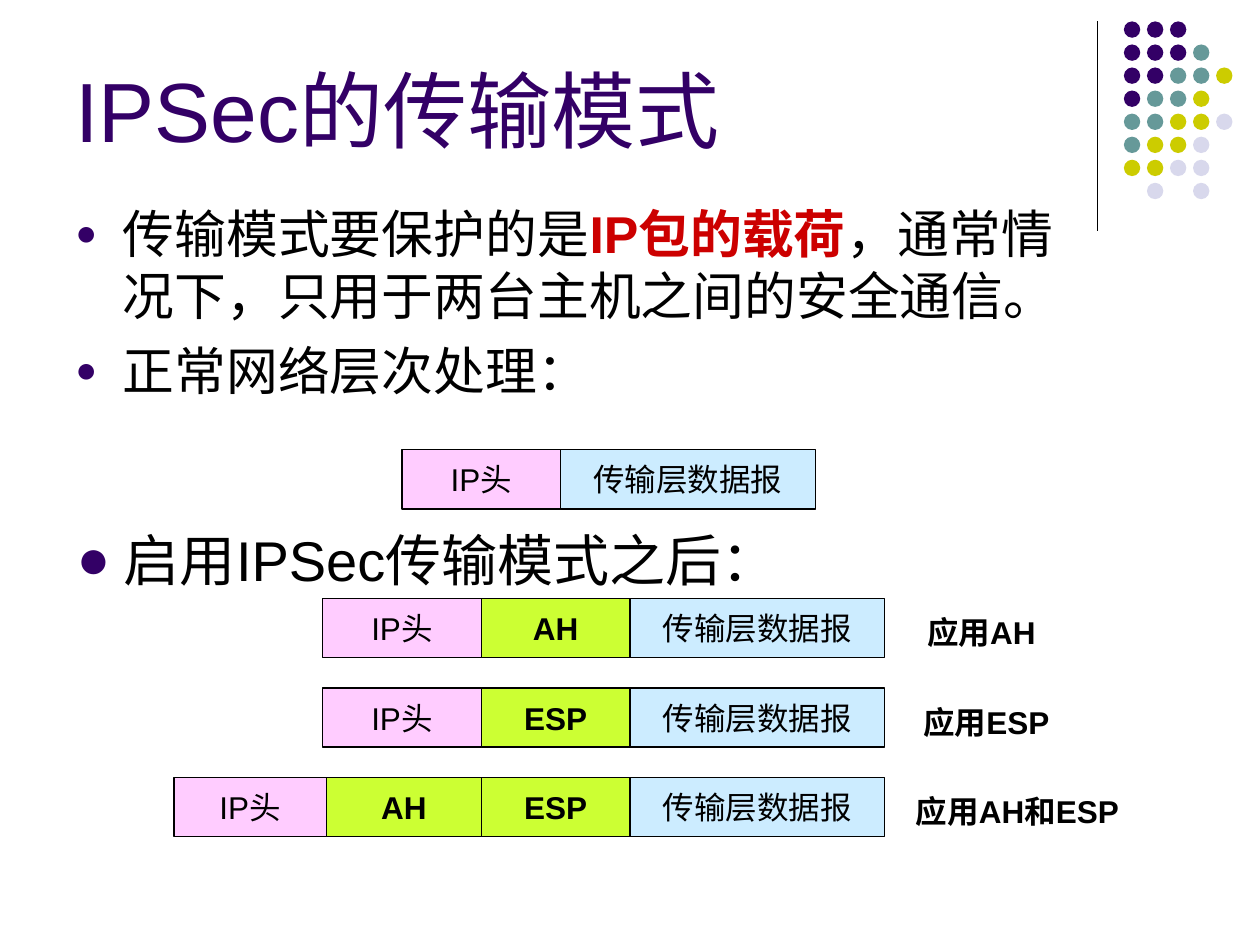
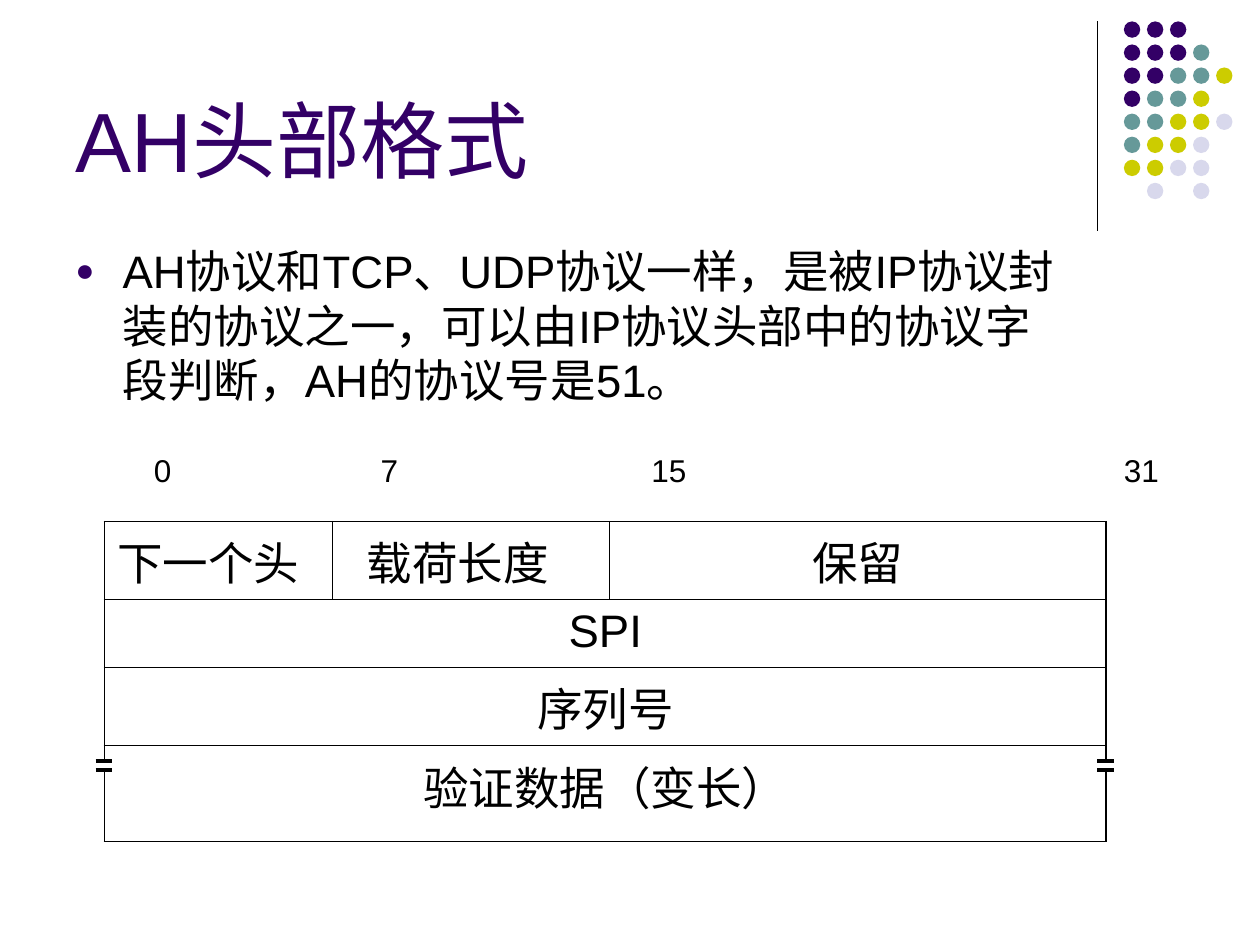
from dataclasses import dataclass
from itertools import pairwise
from typing import NamedTuple

from lxml.etree import SubElement
from pptx import Presentation
from pptx.dml.color import RGBColor as Rgb
from pptx.enum.lang import MSO_LANGUAGE_ID as Lang
from pptx.enum.shapes import MSO_CONNECTOR as Connector, MSO_SHAPE as Preset
from pptx.enum.text import MSO_ANCHOR as Anchor, PP_ALIGN as Align
from pptx.oxml import parse_xml
from pptx.oxml.ns import nsdecls, qn
from pptx.util import Inches, Pt


@dataclass(frozen=True)
class Theme:
    font: str = "Arial"
    title: str = "330066"
    ink: str = "000000"
    paper: str = "FFFFFF"
    key: str = "CC0000"
    teal: str = "669999"
    olive: str = "CCCC00"
    mist: str = "D8D8EC"
    ip_head: str = "FFCCFF"
    security: str = "CCFF33"
    payload: str = "CCECFF"
    title_size: float = 48
    mode_size: float = 32
    point_size: float = 29.6
    field_size: float = 26
    label_size: float = 18
    hairline: float = 0.75
    inner_border: float = 0.45
    outer_border: float = 1.08
    break_line: float = 2


THEME = Theme()

# Grid: 100 columns by 75 rows over the whole slide
COLUMNS, ROWS = 100, 75
SLIDE_WIDTH, SLIDE_HEIGHT = Inches(10), Inches(7.5)


def col(count: float) -> int:
    return round(SLIDE_WIDTH * count / COLUMNS)


def row(count: float) -> int:
    return round(SLIDE_HEIGHT * count / ROWS)


class Area(NamedTuple):
    left: float
    top: float
    width: float
    height: float

    def emu(self) -> tuple[int, int, int, int]:
        return col(self.left), row(self.top), col(self.width), row(self.height)


class Words(NamedTuple):
    text: str
    size: float
    color: str = THEME.ink
    bold: bool = False


class Bullet(NamedTuple):
    share: int
    before: float = 0


class Field(NamedTuple):
    text: str
    fill: str
    bold: bool = False


class Packet(NamedTuple):
    top: float
    edges: tuple[float, ...]
    fields: tuple[Field, ...]


class Caption(NamedTuple):
    text: str
    left: float
    width: float


# Text
def add_words(paragraph, *parts: Words) -> None:
    for part in parts:
        run = paragraph.add_run()
        run.text = part.text
        run.font.name = THEME.font
        run.font.size = Pt(part.size)
        run.font.bold = part.bold
        run.font.color.rgb = Rgb.from_string(part.color)
        run.font.language_id = Lang.SIMPLIFIED_CHINESE


def add_bullet(paragraph, bullet: Bullet) -> None:
    props = paragraph._p.get_or_add_pPr()
    props.set("marL", str(col(3.75)))
    props.set("indent", str(-col(3.75)))
    SubElement(SubElement(props, qn("a:buClr")), qn("a:srgbClr")).set("val", THEME.title)
    SubElement(props, qn("a:buSzPct")).set("val", str(bullet.share * 1000))
    SubElement(props, qn("a:buFont")).set("typeface", THEME.font)
    SubElement(props, qn("a:buChar")).set("char", "●")


def add_text(slide, area: Area, paragraphs: list[list[Words]], bullet: Bullet | None = None,
             anchor=Anchor.TOP, align=Align.LEFT, wrap: bool = True) -> None:
    frame = slide.shapes.add_textbox(*area.emu()).text_frame
    frame.word_wrap = wrap
    frame.vertical_anchor = anchor
    for index, parts in enumerate(paragraphs):
        paragraph = frame.add_paragraph() if index else frame.paragraphs[0]
        paragraph.alignment = align
        if bullet:
            add_bullet(paragraph, bullet)
            if index:
                paragraph.space_before = Pt(bullet.before)
        add_words(paragraph, *parts)


# Shapes and lines
def add_block(slide, preset, area: Area, fill: str, outlined: bool = False):
    block = slide.shapes.add_shape(preset, *area.emu())
    block.shadow.inherit = False
    block.fill.solid()
    block.fill.fore_color.rgb = Rgb.from_string(fill)
    if outlined:
        block.line.color.rgb = Rgb.from_string(THEME.ink)
        block.line.width = Pt(THEME.hairline)
    else:
        block.line.fill.background()
    return block


def add_line(slide, start: tuple[float, float], end: tuple[float, float], width: float) -> None:
    line = slide.shapes.add_connector(Connector.STRAIGHT, col(start[0]), row(start[1]),
                                      col(end[0]), row(end[1]))
    line.line.color.rgb = Rgb.from_string(THEME.ink)
    line.line.width = Pt(width)
    SubElement(line._element.spPr, qn("a:effectLst"))


# Corner decoration and title shared by the slides
DIVIDER = 87.1
DOT_COLORS = {"P": THEME.title, "T": THEME.teal, "O": THEME.olive, "M": THEME.mist}
DOT_ROWS = ("PPP", "PPPT", "PPTTO", "PTTO", "TTOOM", "TOOM", "OOMM", " M M")
DOT_LEFT, DOT_TOP, DOT_PITCH, DOT_SIZE = 89.2, 1.7, 1.83, 1.3
TEXT_LEFT = 5


def start_slide(deck, title: str, title_area: Area):
    slide = deck.slides.add_slide(deck.slide_layouts[6])
    add_line(slide, (DIVIDER, 1.7), (DIVIDER, 18.3), THEME.hairline)
    for down, dots in enumerate(DOT_ROWS):
        for across, dot in enumerate(dots):
            if dot in DOT_COLORS:
                area = Area(DOT_LEFT + across * DOT_PITCH, DOT_TOP + down * DOT_PITCH,
                            DOT_SIZE, DOT_SIZE)
                add_block(slide, Preset.OVAL, area, DOT_COLORS[dot])
    add_text(slide, title_area, [[Words(title, THEME.title_size, THEME.title)]],
             anchor=Anchor.BOTTOM)
    return slide


# Transport mode: packets before and after
IP = Field("IP头", THEME.ip_head)
AH = Field("AH", THEME.security, True)
ESP = Field("ESP", THEME.security, True)
DATA = Field("传输层数据报", THEME.payload)
PACKET_HEIGHT = 4.7
MODE_TOP, MODE_PITCH = 47.5, 7.1
SHORT_EDGES = (25.6, 38.2, 50, 70.2)
PLAIN_PACKET = Packet(35.7, (31.9, 44.5, 64.7), (IP, DATA))
MODES = (
    (Caption("应用AH", 72.6, 11.2), SHORT_EDGES, (IP, AH, DATA)),
    (Caption("应用ESP", 72.3, 12.6), SHORT_EDGES, (IP, ESP, DATA)),
    (Caption("应用AH和ESP", 71.7, 19.9), (13.8, 25.9, *SHORT_EDGES[1:]), (IP, AH, ESP, DATA)),
)


def add_packet(slide, packet: Packet) -> None:
    for field, (left, right) in zip(packet.fields, pairwise(packet.edges)):
        area = Area(left, packet.top, right - left, PACKET_HEIGHT)
        frame = add_block(slide, Preset.RECTANGLE, area, field.fill, outlined=True).text_frame
        frame.word_wrap = False
        frame.vertical_anchor = Anchor.MIDDLE
        frame.paragraphs[0].alignment = Align.CENTER
        add_words(frame.paragraphs[0], Words(field.text, THEME.label_size, bold=field.bold))


def build_transport_mode(deck) -> None:
    slide = start_slide(deck, "IPSec的传输模式", Area(TEXT_LEFT, 4.4, 82.5, 8.7))
    size = THEME.point_size
    # The points end left of the divider
    add_text(slide, Area(TEXT_LEFT, 15.5, DIVIDER - TEXT_LEFT, 17.9), [
        [Words("传输模式要保护的是", size), Words("IP包的载荷", size, THEME.key, True),
         Words("，通常情况下，只用于两台主机之间的安全通信。", size)],
        [Words("正常网络层次处理：", size)],
    ], Bullet(70, 7.4))
    add_packet(slide, PLAIN_PACKET)
    add_text(slide, Area(5.1, 41.2, 90, 6.3),
             [[Words("启用IPSec传输模式之后：", THEME.mode_size)]], Bullet(100))
    for index, (caption, edges, fields) in enumerate(MODES):
        top = MODE_TOP + index * MODE_PITCH
        add_packet(slide, Packet(top, edges, fields))
        add_text(slide, Area(caption.left, top + 0.7, caption.width, 4),
                 [[Words(caption.text, THEME.label_size, bold=True)]], wrap=False)


# AH header: bit ruler, field table and break marks
BIT_CENTERS = {"0": 12.9, "7": 30.9, "15": 53.1, "31": 90.6}
FIELD_COLUMNS = (18.1, 22, 39.4)
FIELD_ROWS = (6.2, 5.4, 6.2, 7.6)
TABLE_LEFT, TABLE_TOP = 8.3, 41.4
FIRST_FIELDS = (("下一个头", Align.LEFT, 1), ("载荷长度", Align.LEFT, 2.7),
                ("保留", Align.CENTER, 1))
WIDE_FIELDS = ("SPI", "序列号", "验证数据（变长）")


def set_borders(cell, **widths: float) -> None:
    props = cell._tc.get_or_add_tcPr()
    for index, (side, width) in enumerate(widths.items()):
        props.insert(index, parse_xml(
            f'<a:ln{side} {nsdecls("a")} w="{Pt(width)}"><a:solidFill>'
            f'<a:srgbClr val="{THEME.ink}"/></a:solidFill></a:ln{side}>'))


def fill_field(cell, text: str, align=Align.CENTER, margin: float = 1) -> None:
    cell.margin_left = col(margin)
    paragraph = cell.text_frame.paragraphs[0]
    paragraph.alignment = align
    add_words(paragraph, Words(text, THEME.field_size))


def add_header_table(slide) -> None:
    area = Area(TABLE_LEFT, TABLE_TOP, sum(FIELD_COLUMNS), sum(FIELD_ROWS))
    last_row, last_column = len(FIELD_ROWS) - 1, len(FIELD_COLUMNS) - 1
    table = slide.shapes.add_table(last_row + 1, last_column + 1, *area.emu()).table
    table.first_row = table.horz_banding = False
    for column, width in zip(table.columns, FIELD_COLUMNS):
        column.width = col(width)
    inner, outer = THEME.inner_border, THEME.outer_border
    for down, height in enumerate(FIELD_ROWS):
        table.rows[down].height = row(height)
        for across in range(last_column + 1):
            cell = table.cell(down, across)
            cell.fill.background()
            whole = down > 0
            set_borders(cell, L=outer if whole or across == 0 else inner,
                        R=outer if whole or across == last_column else inner,
                        T=inner if down else outer,
                        B=outer if down == last_row else inner)
    for across, (text, align, margin) in enumerate(FIRST_FIELDS):
        fill_field(table.cell(0, across), text, align, margin)
    for down, text in enumerate(WIDE_FIELDS, start=1):
        table.cell(down, 0).merge(table.cell(down, last_column))
        fill_field(table.cell(down, 0), text)


def add_break_mark(slide, left: float) -> None:
    add_block(slide, Preset.RECTANGLE, Area(left, 60.3, 1.4, 0.7), THEME.paper)
    for height in (60.4, 61.1):
        add_line(slide, (left + 0.1, height), (left + 1.4, height), THEME.break_line)


def build_ah_header(deck) -> None:
    slide = start_slide(deck, "AH头部格式", Area(TEXT_LEFT, 1.3, 82.5, 14.2))
    add_text(slide, Area(TEXT_LEFT, 18.8, 79.7, 48.2), [[Words(
        "AH协议和TCP、UDP协议一样，是被IP协议封装的协议之一，可以由IP协议头部中的协议字段判断，"
        "AH的协议号是51。", THEME.field_size)]], Bullet(70))
    add_header_table(slide)
    for bit, center in BIT_CENTERS.items():
        add_text(slide, Area(center - 3, 35.3, 6, 4), [[Words(bit, THEME.label_size)]],
                 align=Align.CENTER, wrap=False)
    for edge in (TABLE_LEFT, TABLE_LEFT + sum(FIELD_COLUMNS)):
        add_break_mark(slide, edge - 0.8)


def main() -> None:
    deck = Presentation()
    deck.slide_width, deck.slide_height = SLIDE_WIDTH, SLIDE_HEIGHT
    build_transport_mode(deck)
    build_ah_header(deck)
    deck.save("out.pptx")


if __name__ == "__main__":
    main()
